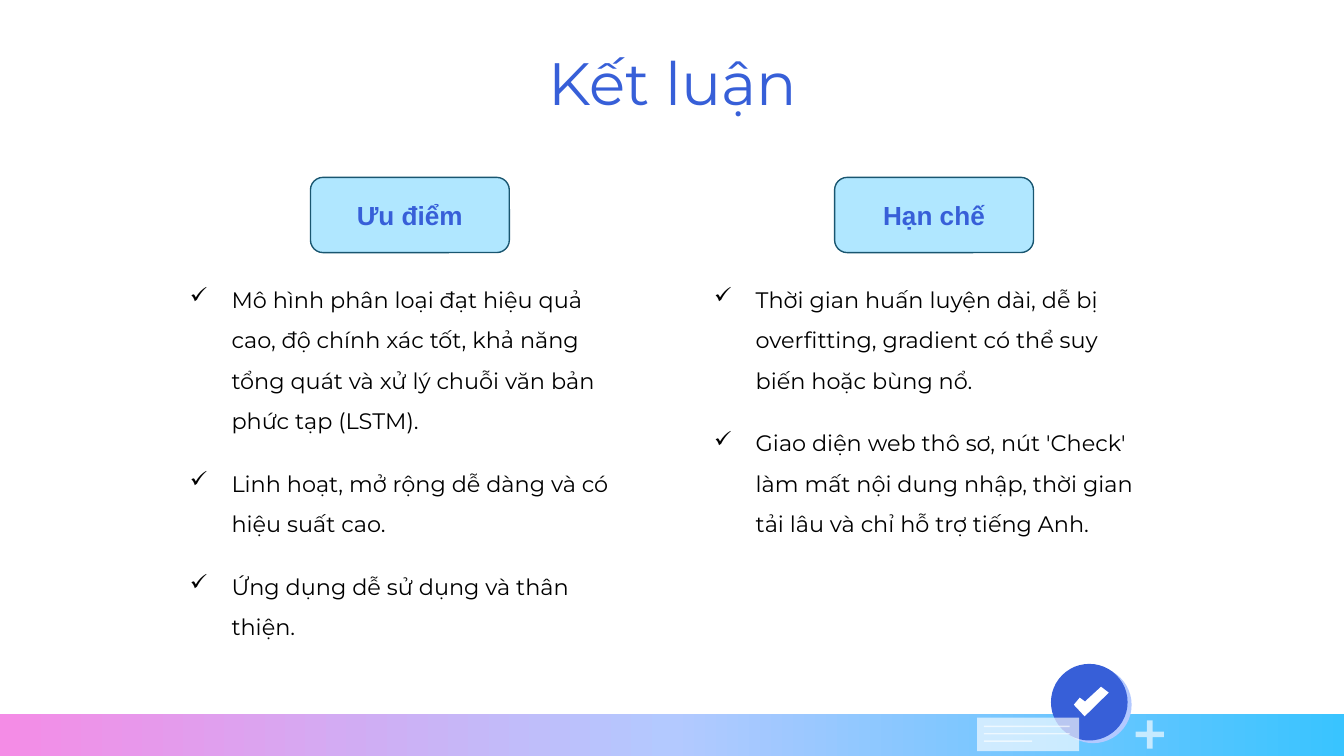
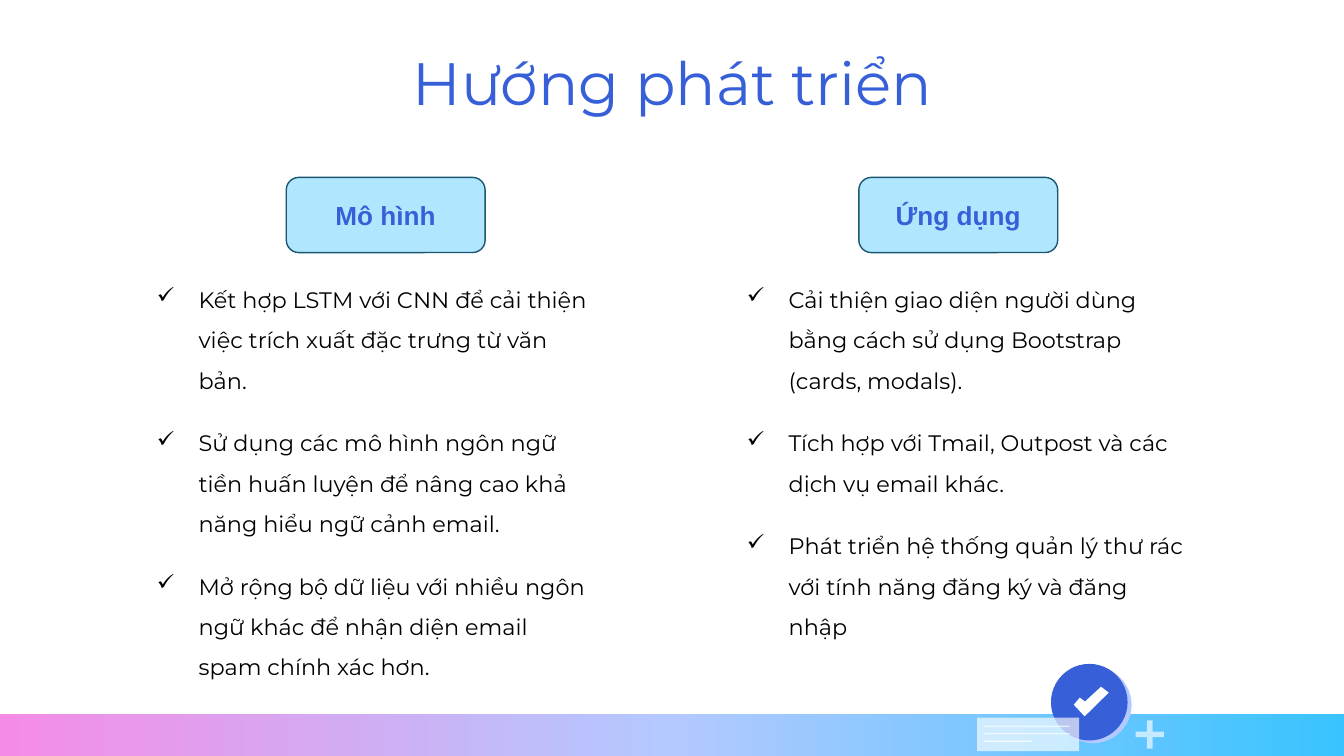
from collections import namedtuple
from copy import deepcopy

from lxml import etree
from pptx import Presentation
from pptx.dml.color import RGBColor
from pptx.enum.shapes import MSO_SHAPE
from pptx.enum.text import MSO_ANCHOR, MSO_AUTO_SIZE, PP_ALIGN
from pptx.oxml.ns import qn
from pptx.util import Inches, Pt

RECT, OVAL = MSO_SHAPE.RECTANGLE, MSO_SHAPE.OVAL
ROUNDED, CROSS = MSO_SHAPE.ROUNDED_RECTANGLE, MSO_SHAPE.CROSS
MIDDLE, CENTER, LEFT = MSO_ANCHOR.MIDDLE, PP_ALIGN.CENTER, PP_ALIGN.LEFT
GROW = MSO_AUTO_SIZE.SHAPE_TO_FIT_TEXT

COLORS = {
    "blue": "375FD8", "pink": "F48CE6", "lilac": "B3C9FF", "cyan": "39C4FF",
    "badge": "B0E7FF", "outline": "195670", "text": "000000", "white": "FFFFFF",
}
BODY_FONT, BADGE_FONT = "Montserrat", "Arial"

# The slide is a grid of square cells, 100 columns by 56.25 rows.
CELL = Inches(0.1)
COLS, ROWS = 100, 56.25
Box = namedtuple("Box", "x y w h")

TITLE = Box(7.9, 2.4, 84.3, 6.4)
FOOTER = Box(0, 53.1, COLS, 3.15)
BADGE_W, BADGE_H, BADGE_Y = 14.8, 5.6, 13.2
LIST_W, LIST_Y = 34.7, 19.8
LINE_H, GAP_H, PADDING = 3, 1.67, 1

# Each column holds its heading, its number of text lines and its points.
SLIDES = [
    {
        "title": "Kết luận", "list_gap": 4.3, "badge_gap": 24.2,
        "columns": [
            ("Ưu điểm", 8, [
                "Mô hình phân loại đạt hiệu quả cao, độ chính xác tốt, khả năng "
                "tổng quát và xử lý chuỗi văn bản phức tạp (LSTM).",
                "Linh hoạt, mở rộng dễ dàng và có hiệu suất cao.",
                "Ứng dụng dễ sử dụng và thân thiện.",
            ]),
            ("Hạn chế", 6, [
                "Thời gian huấn luyện dài, dễ bị overfitting, gradient có thể "
                "suy biến hoặc bùng nổ.",
                "Giao diện web thô sơ, nút 'Check' làm mất nội dung nhập, thời "
                "gian tải lâu và chỉ hỗ trợ tiếng Anh.",
            ]),
        ],
    },
    {
        "title": "Hướng phát triển", "list_gap": 9.2, "badge_gap": 27.8,
        "columns": [
            ("Mô hình", 9, [
                "Kết hợp LSTM với CNN để cải thiện việc trích xuất đặc trưng từ "
                "văn bản.",
                "Sử dụng các mô hình ngôn ngữ tiền huấn luyện để nâng cao khả "
                "năng hiểu ngữ cảnh email.",
                "Mở rộng bộ dữ liệu với nhiều ngôn ngữ khác để nhận diện email "
                "spam chính xác hơn.",
            ]),
            ("Ứng dụng", 8, [
                "Cải thiện giao diện người dùng bằng cách sử dụng Bootstrap "
                "(cards, modals).",
                "Tích hợp với Tmail, Outpost và các dịch vụ email khác.",
                "Phát triển hệ thống quản lý thư rác với tính năng đăng ký và "
                "đăng nhập",
            ]),
        ],
    },
]


def rgb(name):
    return RGBColor.from_string(COLORS[name])


def emu(box):
    return [round(v * CELL) for v in box]


def inside(box, x, y, w, h):
    return Box(box.x + x, box.y + y, w, h)


def paint(sp, color, opacity=100):
    """Give a shape a plain fill without line or shadow."""
    sp.shadow.inherit = False
    sp.line.fill.background()
    sp.fill.solid()
    sp.fill.fore_color.rgb = rgb(color)
    if opacity < 100:
        clr = sp.fill._xPr.find(".//" + qn("a:srgbClr"))
        etree.SubElement(clr, qn("a:alpha"), val=str(opacity * 1000))


def add_filled(slide, kind, box, color, opacity=100):
    sp = slide.shapes.add_shape(kind, *emu(box))
    paint(sp, color, opacity)
    return sp


def write(tf, lines, align, font, size, color, bold=False):
    tf.word_wrap = True
    tf.text = "\n".join(lines)
    for p in tf.paragraphs:
        p.alignment = align
        for r in p.runs:
            r.font.name, r.font.size, r.font.bold = font, Pt(size), bold
            r.font.color.rgb = rgb(color)


def add_title(slide, box, text):
    tf = slide.shapes.add_textbox(*emu(box)).text_frame
    tf.margin_top = tf.margin_bottom = CELL
    write(tf, [text], CENTER, BODY_FONT, 32, "blue")


def add_gradient_band(slide, box):
    fill = add_filled(slide, RECT, box, "lilac").fill
    fill.gradient()
    fill.gradient_angle = 0
    stops = fill._xPr.find(".//" + qn("a:gsLst"))
    stops.append(deepcopy(stops[0]))
    for stop, position, color in zip(
        fill.gradient_stops, (0, 0.5, 1), ("pink", "lilac", "cyan")
    ):
        stop.position = position
        stop.color.rgb = rgb(color)


def add_tick(slide, box):
    outline = [(0.78, 0), (0.32, 0.5), (0.17, 0.37), (0, 0.61), (0.31, 1), (1, 0.2)]
    points = [
        ((box.x + u * box.w) * CELL, (box.y + v * box.h) * CELL) for u, v in outline
    ]
    builder = slide.shapes.build_freeform(*points[0])
    builder.add_line_segments(points[1:], close=True)
    paint(builder.convert_to_shape(), "white")


def add_footer(slide, box):
    """Draw the gradient band with its round tick, note card and plus sign."""
    add_gradient_band(slide, box)
    add_filled(slide, OVAL, inside(box, 78.5, -3.5, 5.7, 5.7), "lilac")
    add_filled(slide, OVAL, inside(box, 78.2, -3.7, 5.7, 5.7), "blue")
    add_tick(slide, inside(box, 79.9, -2, 2.6, 2.2))
    card = inside(box, 72.7, 0.3, 7.6, 2.5)
    add_filled(slide, RECT, card, "white", 65)
    for i, width in enumerate((6.4, 6.4, 3.6)):
        rule = inside(card, 0.5, 0.6 + 0.55 * i, width, 0.1)
        add_filled(slide, RECT, rule, "white", 65)
    plus = add_filled(slide, CROSS, inside(box, 84.5, 0.5, 2.1, 2.1), "white", 65)
    plus.adjustments[0] = 0.4


def add_badge(slide, box, text):
    sp = add_filled(slide, ROUNDED, box, "badge")
    sp.line.color.rgb = rgb("outline")
    sp.line.width = Pt(0.75)
    tf = sp.text_frame
    tf.vertical_anchor = MIDDLE
    write(tf, [text], CENTER, BADGE_FONT, 14, "blue", bold=True)


def add_checklist(slide, box, points):
    tf = slide.shapes.add_textbox(*emu(box)).text_frame
    tf.auto_size = GROW
    write(tf, points, LEFT, BODY_FONT, 12, "text")
    for p in tf.paragraphs:
        p.line_spacing = 1.5
        p.space_before = p.space_after = Pt(6)
        pPr = p._p.get_or_add_pPr()
        pPr.set("marL", str(Inches(0.31)))
        pPr.set("indent", str(-Inches(0.31)))
        clr = etree.SubElement(pPr, qn("a:buClr"))
        etree.SubElement(clr, qn("a:srgbClr"), val=COLORS["text"])
        etree.SubElement(pPr, qn("a:buChar"), char="✓")
        tabs = etree.SubElement(pPr, qn("a:tabLst"))
        etree.SubElement(tabs, qn("a:tab"), pos=str(Inches(0.59)), algn="l")


def mirrored(width, gap):
    """Left edges of two equal boxes set about the middle of the slide."""
    return (COLS - gap) / 2 - width, (COLS + gap) / 2


def add_comparison_slide(prs, content):
    slide = prs.slides.add_slide(prs.slide_layouts[6])
    add_footer(slide, FOOTER)
    add_title(slide, TITLE, content["title"])
    list_xs = mirrored(LIST_W, content["list_gap"])
    badge_xs = mirrored(BADGE_W, content["badge_gap"])
    for list_x, badge_x, column in zip(list_xs, badge_xs, content["columns"]):
        heading, lines, points = column
        height = PADDING + lines * LINE_H + (len(points) - 1) * GAP_H
        add_checklist(slide, Box(list_x, LIST_Y, LIST_W, height), points)
        add_badge(slide, Box(badge_x, BADGE_Y, BADGE_W, BADGE_H), heading)


def main():
    prs = Presentation()
    prs.slide_width, prs.slide_height = round(COLS * CELL), round(ROWS * CELL)
    for content in SLIDES:
        add_comparison_slide(prs, content)
    prs.save("out.pptx")


if __name__ == "__main__":
    main()
